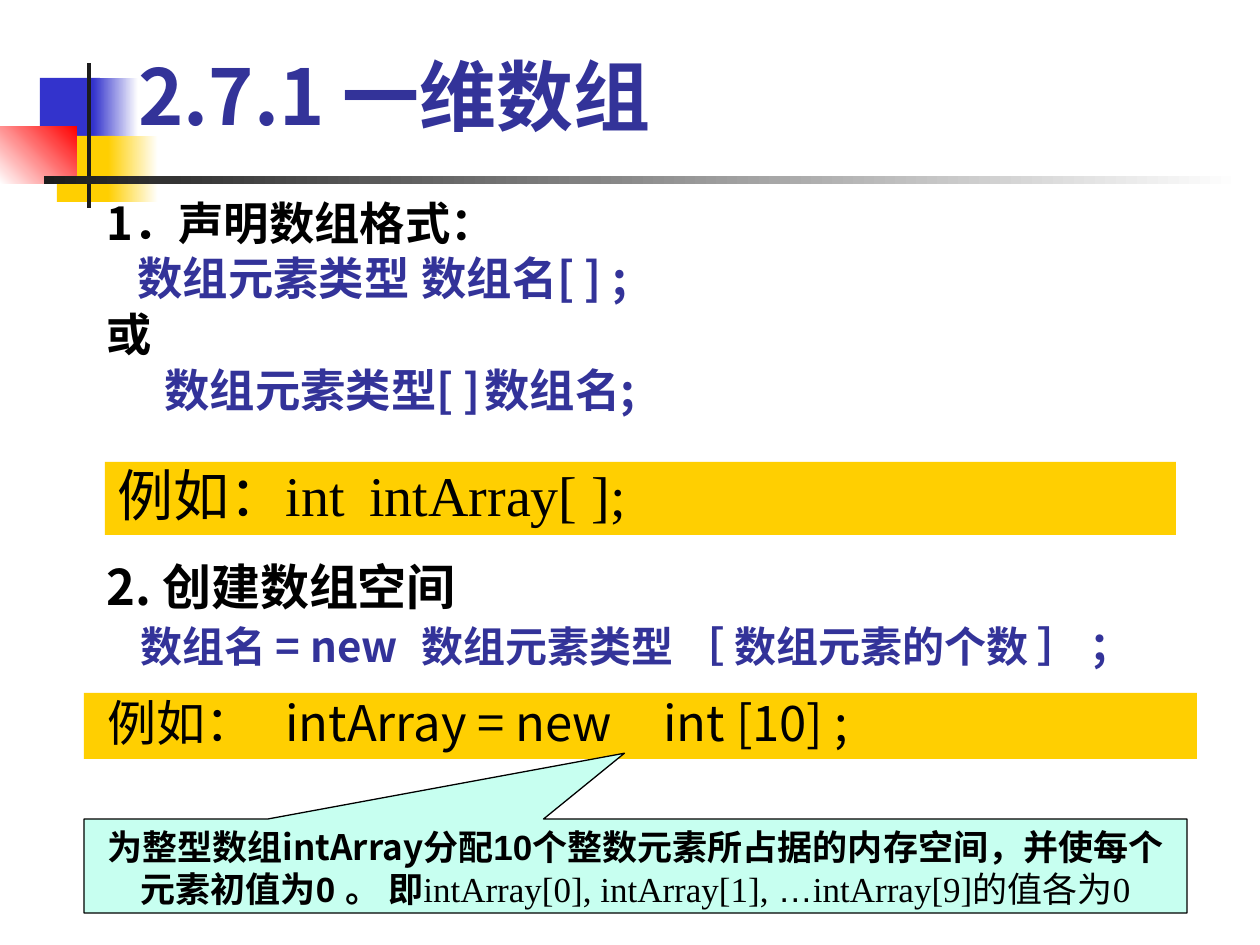
from dataclasses import dataclass
from typing import NamedTuple

from lxml import etree
from pptx import Presentation
from pptx.dml.color import RGBColor
from pptx.enum.shapes import MSO_SHAPE
from pptx.enum.text import MSO_ANCHOR, PP_ALIGN
from pptx.oxml.ns import qn
from pptx.util import Pt

EMU = 914400 / 126
RECT, WEDGE = MSO_SHAPE.RECTANGLE, MSO_SHAPE.RECTANGULAR_CALLOUT
TOP, MIDDLE, BOTTOM = MSO_ANCHOR.TOP, MSO_ANCHOR.MIDDLE, MSO_ANCHOR.BOTTOM
LEFT, CENTER, JUST = PP_ALIGN.LEFT, PP_ALIGN.CENTER, PP_ALIGN.JUSTIFY
SANS, SERIF, ARIAL = "Noto Sans CJK SC", "Times New Roman", "Arial"
BLACK = RGBColor(0, 0, 0)
WHITE = RGBColor(0xFF, 0xFF, 0xFF)
BLUE = RGBColor(0x33, 0x33, 0xCC)
NAVY = RGBColor(0x33, 0x33, 0x99)
GOLD = RGBColor(0xFF, 0xCF, 0x01)
RED = RGBColor(0xFF, 0, 0)
DARK = RGBColor(0x1C, 0x1C, 0x1C)
MINT = RGBColor(0xC7, 0xFF, 0xF0)


class Box(NamedTuple):
    x: int
    y: int
    w: int
    h: int


class Block(NamedTuple):
    box: Box
    start: RGBColor
    end: RGBColor | None = None
    angle: int = 0


class Run(NamedTuple):
    text: str
    font: str = SANS
    bold: bool = True


@dataclass
class Line:
    runs: list[Run]
    size: float
    color: RGBColor = BLACK
    indent: int = 0
    tabs: tuple[int, ...] = ()
    space: int = 0


def px(n: int) -> int:
    return round(n * EMU)


def draw_block(slide, block: Block, kind=RECT):
    shape = slide.shapes.add_shape(kind, *map(px, block.box))
    shape.shadow.inherit = False
    shape.line.fill.background()
    if block.end is None:
        shape.fill.solid()
        shape.fill.fore_color.rgb = block.start
    else:
        shape.fill.gradient()
        shape.fill.gradient_angle = block.angle
        stops = zip(shape.fill.gradient_stops, (block.start, block.end), (0, 1))
        for stop, color, place in stops:
            stop.color.rgb = color
            stop.position = place
    return shape


def add_box(slide, box: Box):
    return slide.shapes.add_textbox(*map(px, box))


def set_tabs(para, line: Line) -> None:
    """Set the first-line indent and the tab stops of a paragraph."""
    props = para._p.get_or_add_pPr()
    props.set("marL", "0")
    props.set("indent", str(px(line.indent)))
    if line.tabs:
        stops = etree.SubElement(props, qn("a:tabLst"))
        for tab in line.tabs:
            etree.SubElement(stops, qn("a:tab"), pos=str(px(tab)), algn="l")


def write(shape, lines: list[Line], *, align=LEFT, anchor=TOP,
          pitch: float = 1.0) -> None:
    frame = shape.text_frame
    frame.word_wrap = True
    frame.vertical_anchor = anchor
    for i, line in enumerate(lines):
        para = frame.add_paragraph() if i else frame.paragraphs[0]
        para.alignment = align
        para.line_spacing = pitch
        para.space_before = Pt(line.space)
        set_tabs(para, line)
        for part in line.runs:
            run = para.add_run()
            run.text = part.text
            run.font.size = Pt(line.size)
            run.font.bold = part.bold
            run.font.color.rgb = line.color
            run.font.name = part.font
            etree.SubElement(run._r.get_or_add_rPr(), qn("a:ea"), typeface=SANS)


DECOR = [
    Block(Box(40, 78, 60, 66), BLUE),
    Block(Box(93, 78, 45, 66), BLUE, WHITE),
    Block(Box(57, 136, 58, 66), GOLD),
    Block(Box(108, 136, 50, 66), GOLD, WHITE),
    Block(Box(0, 126, 77, 58), WHITE, RED, 45),
    Block(Box(87, 63, 4, 145), DARK),
    Block(Box(44, 176, 1198, 8), DARK, WHITE),
]

FORMAT = [
    Line([Run("1．声明数组格式：")], 25.9),
    Line([Run("数组元素类型\t数组名[ ] ;")], 25.9, NAVY, 31, (334,), 7),
    Line([Run("或")], 25.9, space=7),
    Line([Run("数组元素类型[ ]\t数组名;")], 25.9, NAVY, 58, (418,), 7),
]

CREATE = [
    Line([Run("2. 创建数组空间")], 28),
    Line([Run("数组名 = new\t数组元素类型 ［ 数组元素的个数 ］ ；")],
         24, NAVY, 34, (330,), 6),
]

NOTE = [
    Run("为整型数组intArray分配"),
    Run("10", ARIAL),
    Run("个整数元素所占据的内存空间，并使每个元素初值为"),
    Run("0 ", ARIAL),
    Run("。 即"),
    Run("intArray[0], intArray[1], ", SERIF, False),
    Run("…", ARIAL, False),
    Run("intArray[9]的值各为0", SERIF, False),
]


def main() -> None:
    deck = Presentation()
    deck.slide_width, deck.slide_height = px(1260), px(945)
    slide = deck.slides.add_slide(deck.slide_layouts[6])
    for block in DECOR:
        draw_block(slide, block)

    title = add_box(slide, Box(126, 21, 1081, 126))
    write(title, [Line([Run("2.7.1 一维数组")], 44, NAVY)], anchor=BOTTOM)
    write(add_box(slide, Box(94, 199, 1124, 284)), FORMAT, align=JUST, pitch=0.8)

    bar = draw_block(slide, Block(Box(105, 462, 1071, 73), GOLD))
    code = Run("例如：int\tintArray[ ];", SERIF, False)
    write(bar, [Line([code], 32, tabs=(269,))], anchor=MIDDLE, pitch=0.9)

    write(add_box(slide, Box(94, 557, 1166, 130)), CREATE, pitch=0.9)

    bar = draw_block(slide, Block(Box(84, 693, 1113, 66), GOLD))
    code = Run("例如：\tintArray = new\tint [10] ;", bold=False)
    write(bar, [Line([code], 28, indent=11, tabs=(192, 541))],
          anchor=MIDDLE, pitch=0.9)

    note = draw_block(slide, Block(Box(84, 819, 1103, 94), MINT), WEDGE)
    note.adjustments[0], note.adjustments[1] = -0.01, -1.2
    note.line.color.rgb = BLACK
    note.line.width = Pt(0.75)
    write(note, [Line(NOTE, 20)], align=CENTER)

    deck.save("out.pptx")


if __name__ == "__main__":
    main()
